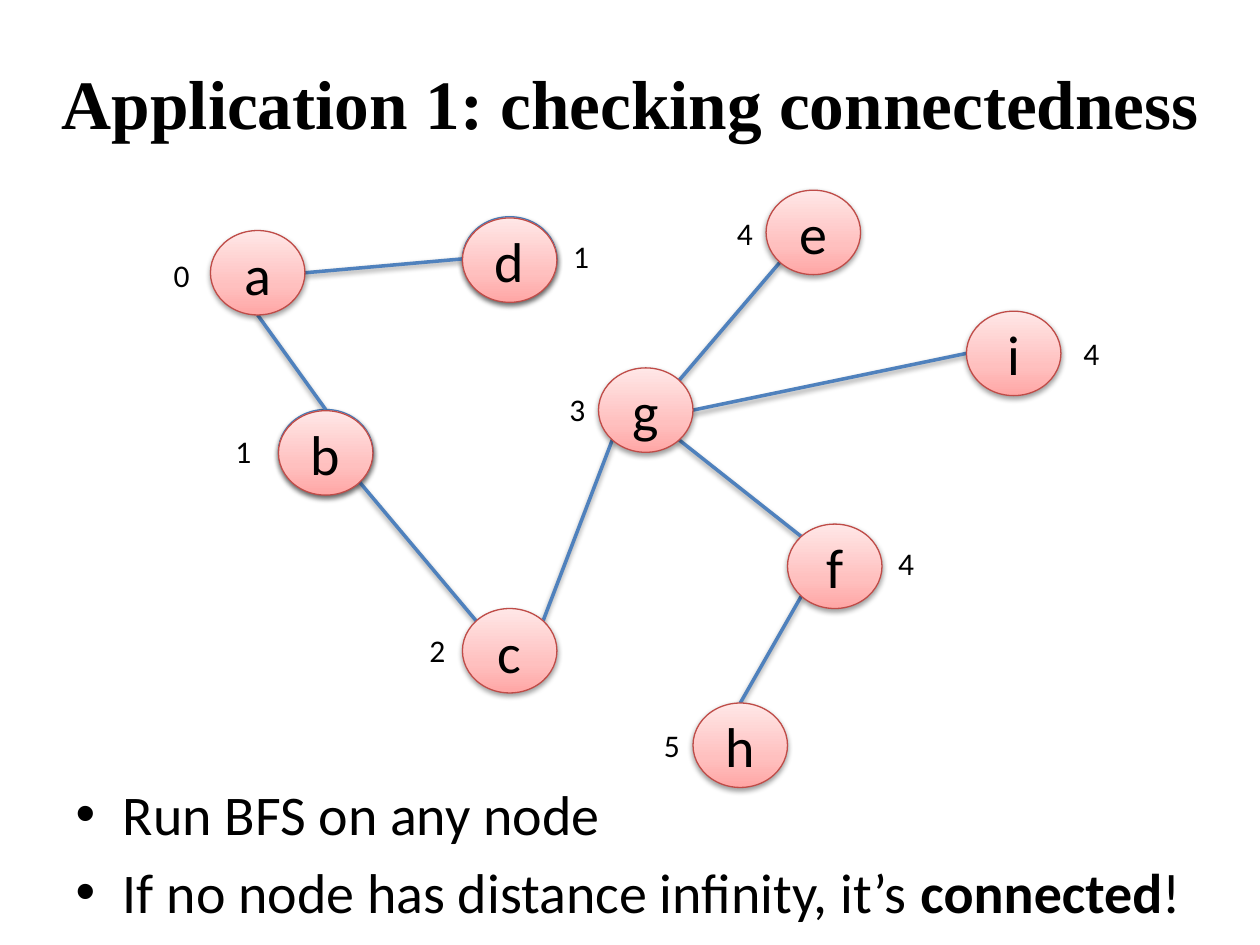
from copy import deepcopy
from dataclasses import dataclass

from lxml import etree
from pptx import Presentation
from pptx.dml.color import RGBColor
from pptx.enum.shapes import MSO_CONNECTOR, MSO_SHAPE
from pptx.enum.text import MSO_ANCHOR, MSO_AUTO_SIZE, PP_ALIGN
from pptx.oxml.ns import qn
from pptx.util import Inches, Pt

OVAL, STRAIGHT = MSO_SHAPE.OVAL, MSO_CONNECTOR.STRAIGHT
MIDDLE, BOTTOM = MSO_ANCHOR.MIDDLE, MSO_ANCHOR.BOTTOM
CENTER = PP_ALIGN.CENTER
NO_FIT, FIT_SHAPE = MSO_AUTO_SIZE.NONE, MSO_AUTO_SIZE.SHAPE_TO_FIT_TEXT


@dataclass(frozen=True)
class Theme:
    title_font: str = "Times New Roman"
    body_font: str = "Calibri"
    title_size: float = 39.6
    body_size: float = 32
    label_size: float = 18
    text: str = "000000"
    edge: str = "4F81BD"
    red: tuple = ("FFA6A5", "FFC0BF", "FFE7E7")
    red_line: str = "BF4C48"
    blue: tuple = ("A4C4FF", "BFD4FF", "E6EEFF")
    blue_line: str = "4B7EBC"


THEME = Theme()
NODE_W, NODE_H = 0.75, 0.67
BACK_OFFSET = 0.01
DIAGONAL = 0.5 ** 0.5
PORTS = {
    "top": (0, -1), "bottom": (0, 1), "left": (-1, 0), "right": (1, 0),
    "top left": (-DIAGONAL, -DIAGONAL), "top right": (DIAGONAL, -DIAGONAL),
    "bottom left": (-DIAGONAL, DIAGONAL), "bottom right": (DIAGONAL, DIAGONAL),
}
NODES = {
    "a": (1.67, 1.83), "b": (2.21, 3.25), "d": (3.67, 1.72),
    "c": (3.67, 4.83), "g": (4.75, 2.92), "e": (6.08, 1.51),
    "f": (6.25, 4.16), "i": (7.67, 2.47), "h": (5.5, 5.58),
}
BACKED_NODES = ("b", "d")
EDGES = [
    ("a", "bottom", "b", "top"),
    ("a", "right", "d", "left"),
    ("b", "bottom right", "c", "top left"),
    ("c", "top right", "g", "bottom left"),
    ("g", "top right", "e", "bottom left"),
    ("g", "bottom right", "f", "top left"),
    ("g", "right", "i", "left"),
    ("f", "bottom left", "h", "top"),
]
DISTANCES = [
    ("0", 1.28, 1.98), ("1", 1.77, 3.38), ("1", 4.45, 1.83),
    ("2", 3.31, 4.96), ("3", 4.42, 3.05), ("4", 5.75, 1.65),
    ("4", 8.5, 2.6), ("4", 7.03, 4.27), ("5", 5.17, 5.71),
]
BULLETS = [
    [("Run BFS on any node", False)],
    [("If no node has distance infinity, it’s ", False),
     ("connected", True), ("!", False)],
]


def rgb(value):
    return RGBColor.from_string(value)


def style_font(font, name, size):
    font.name = name
    font.size = Pt(size)
    font.color.rgb = rgb(THEME.text)


def place(sp, x, y, w, h):
    sp.left, sp.top, sp.width, sp.height = map(Inches, (x, y, w, h))


def add_shadow(sp):
    effects = etree.SubElement(sp._element.spPr, qn("a:effectLst"))
    shadow = etree.SubElement(effects, qn("a:outerShdw"), blurRad="40000",
                              dist="20000", dir="5400000", rotWithShape="0")
    color = etree.SubElement(shadow, qn("a:srgbClr"), val="000000")
    etree.SubElement(color, qn("a:alpha"), val="38000")


def fill_gradient(sp, colors):
    sp.fill.gradient()
    sp.fill.gradient_angle = 90
    stop_list = sp._element.spPr.find(".//" + qn("a:gsLst"))
    stop_list.insert(1, deepcopy(stop_list[0]))
    for stop, color, position in zip(sp.fill.gradient_stops, colors, (0, 0.35, 1)):
        stop.color.rgb = rgb(color)
        stop.position = position


def add_circle(s, x, y, colors, line):
    sp = s.shapes.add_shape(OVAL, *map(Inches, (x, y, NODE_W, NODE_H)))
    fill_gradient(sp, colors)
    sp.line.color.rgb = rgb(line)
    sp.line.width = Pt(0.75)
    add_shadow(sp)
    return sp


def add_node(s, name):
    x, y = NODES[name]
    if name in BACKED_NODES:
        y += BACK_OFFSET
    tf = add_circle(s, x, y, THEME.red, THEME.red_line).text_frame
    tf.vertical_anchor = MIDDLE
    p = tf.paragraphs[0]
    p.text = name
    p.alignment = CENTER
    style_font(p.font, THEME.body_font, THEME.body_size)


def port_point(name, port):
    x, y = NODES[name]
    dx, dy = PORTS[port]
    return Inches(x + NODE_W / 2 * (1 + dx)), Inches(y + NODE_H / 2 * (1 + dy))


def add_edge(s, start, start_port, end, end_port):
    line = s.shapes.add_connector(STRAIGHT, *port_point(start, start_port),
                                  *port_point(end, end_port))
    line.line.color.rgb = rgb(THEME.edge)
    line.line.width = Pt(2)
    add_shadow(line)


def add_distance(s, text, x, y):
    tf = s.shapes.add_textbox(*map(Inches, (x, y, 0.33, 0.4))).text_frame
    tf.word_wrap = False
    tf.auto_size = FIT_SHAPE
    p = tf.paragraphs[0]
    p.text = text
    style_font(p.font, THEME.body_font, THEME.label_size)


def set_title(sp, text):
    place(sp, 0.17, 0.18, 9.67, 1.25)
    tf = sp.text_frame
    tf.auto_size = NO_FIT
    tf.vertical_anchor = MIDDLE
    p = tf.paragraphs[0]
    p.text = text
    p.alignment = CENTER
    style_font(p.font, THEME.title_font, THEME.title_size)
    p.font.bold = True


def set_bullets(sp, items):
    place(sp, 0.5, 1.75, 9, 5.67)
    tf = sp.text_frame
    tf.auto_size = NO_FIT
    tf.vertical_anchor = BOTTOM
    tf.margin_bottom = Inches(0.08)
    for i, runs in enumerate(items):
        p = tf.add_paragraph() if i else tf.paragraphs[0]
        p.space_before = Pt(0.2 * THEME.body_size)
        style_font(p.font, THEME.body_font, THEME.body_size)
        for text, bold in runs:
            r = p.add_run()
            r.text = text
            r.font.bold = bold


def main():
    prs = Presentation()
    prs.slide_width, prs.slide_height = Inches(10), Inches(7.5)
    s = prs.slides.add_slide(prs.slide_layouts[1])
    set_title(s.shapes.title, "Application 1: checking connectedness")
    set_bullets(s.placeholders[1], BULLETS)
    for name in BACKED_NODES:
        add_circle(s, *NODES[name], THEME.blue, THEME.blue_line)
    for edge in EDGES:
        add_edge(s, *edge)
    for name in NODES:
        add_node(s, name)
    for distance in DISTANCES:
        add_distance(s, *distance)
    prs.save("out.pptx")


if __name__ == "__main__":
    main()
